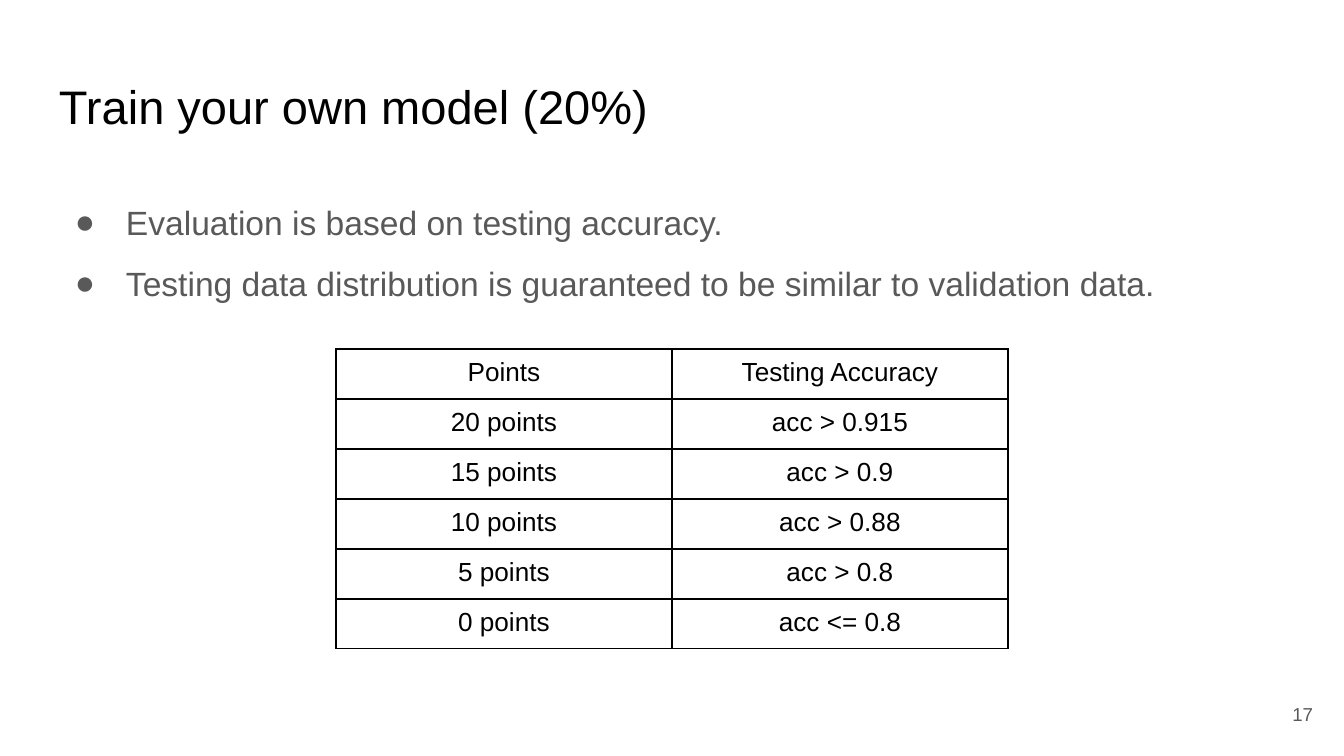
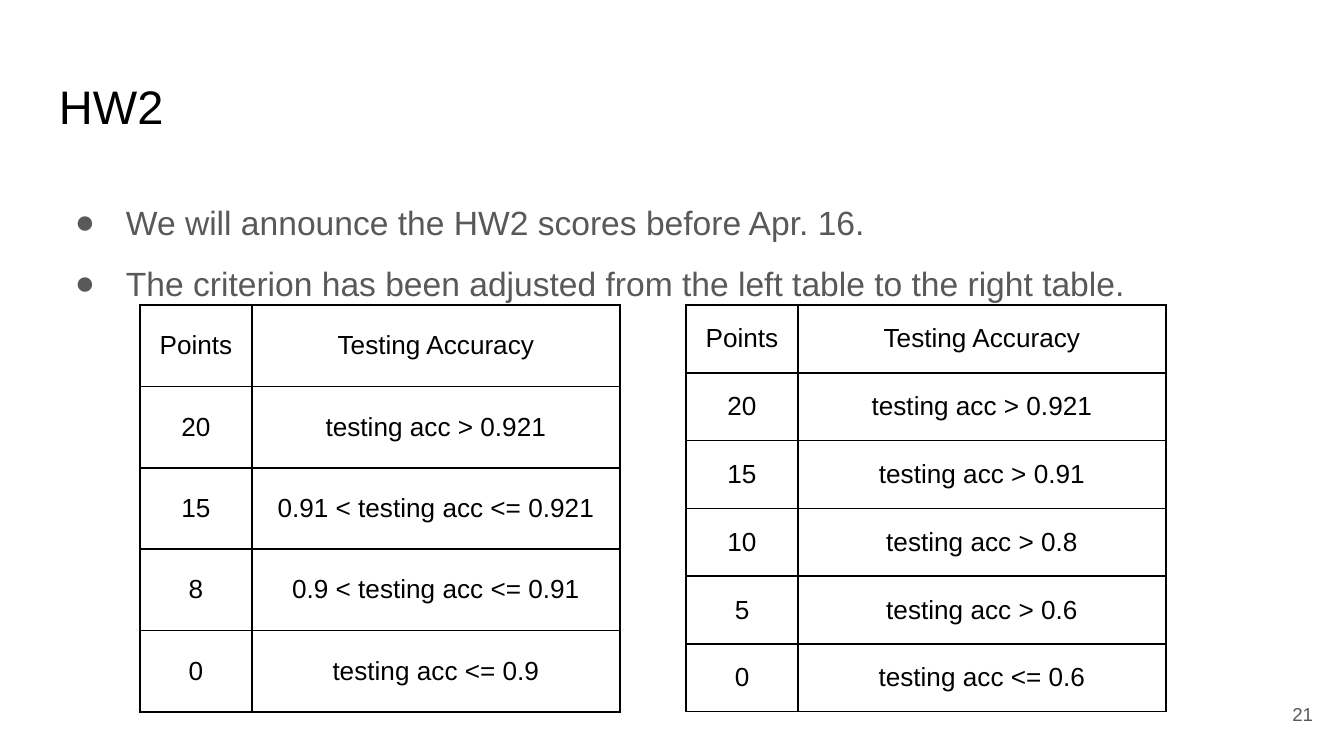
from lxml.etree import SubElement
from pptx import Presentation
from pptx.dml.color import RGBColor
from pptx.enum.text import MSO_ANCHOR, PP_ALIGN
from pptx.oxml.ns import qn
from pptx.util import Pt

EMU_PER_PIXEL = 914400 / 134.4
FONT = "Arial"
BLACK = "000000"
GREY = "595959"
WHITE = "FFFFFF"
TEXT_INSET = 13
CELL_INSET = 9
BULLET_MARGIN = 67
BULLET_HANG = -51
SCORE_COLUMNS = (112, 368)
SCORE_TOP = 305
SCORE_HEIGHT = 407


def px(length):
    return round(length * EMU_PER_PIXEL)


def color(value):
    return RGBColor.from_string(value)


def format_paragraph(paragraph, size, ink, align=PP_ALIGN.LEFT):
    paragraph.alignment = align
    for run in paragraph.runs:
        run.font.name = FONT
        run.font.size = Pt(size)
        run.font.color.rgb = color(ink)


def set_margins(target, inset):
    target.margin_left = target.margin_right = px(inset)
    target.margin_top = target.margin_bottom = px(inset)


def add_text(slide, box, text, size, ink, align=PP_ALIGN.LEFT, anchor=MSO_ANCHOR.TOP):
    frame = slide.shapes.add_textbox(*map(px, box)).text_frame
    frame.word_wrap = True
    frame.vertical_anchor = anchor
    set_margins(frame, TEXT_INSET)
    frame.text = text
    for paragraph in frame.paragraphs:
        format_paragraph(paragraph, size, ink, align)
    return frame


def add_bullet(paragraph):
    paragraph.line_spacing = 1.5
    properties = paragraph._p.get_or_add_pPr()
    properties.set("marL", str(px(BULLET_MARGIN)))
    properties.set("indent", str(px(BULLET_HANG)))
    bullet_color = SubElement(properties, qn("a:buClr"))
    SubElement(bullet_color, qn("a:srgbClr"), val=GREY)
    SubElement(properties, qn("a:buFont"), typeface=FONT)
    SubElement(properties, qn("a:buChar"), char="●")


def add_borders(cell):
    properties = cell._tc.get_or_add_tcPr()
    for side in ("lnL", "lnR", "lnT", "lnB"):
        border = SubElement(properties, qn(f"a:{side}"), w=str(Pt(1)))
        fill = SubElement(border, qn("a:solidFill"))
        SubElement(fill, qn("a:srgbClr"), val=BLACK)


def add_grading_table(slide, left, top, widths, height, rows, anchor):
    table = slide.shapes.add_table(
        len(rows), len(widths), px(left), px(top), px(sum(widths)), px(height)
    ).table
    table.first_row = False
    table.horz_banding = False
    for column, width in zip(table.columns, widths):
        column.width = px(width)
    for row, texts in zip(table.rows, rows):
        row.height = px(height / len(rows))
        for cell, text in zip(row.cells, texts):
            cell.text = text
            cell.vertical_anchor = anchor
            set_margins(cell, CELL_INSET)
            add_borders(cell)
            cell.fill.background()
            format_paragraph(cell.text_frame.paragraphs[0], 14, BLACK, PP_ALIGN.CENTER)


def add_slide(deck, title, bullets, number):
    slide = deck.slides.add_slide(deck.slide_layouts[6])
    slide.background.fill.solid()
    slide.background.fill.fore_color.rgb = color(WHITE)
    add_text(slide, (46, 65, 1252, 84), title, 25.2, BLACK)
    body = add_text(slide, (46, 169, 1252, 502), "\n".join(bullets), 18, GREY)
    for paragraph in body.paragraphs:
        add_bullet(paragraph)
    add_text(slide, (1245, 685, 81, 58), number, 10, GREY,
             PP_ALIGN.RIGHT, MSO_ANCHOR.MIDDLE)
    return slide


def add_training_slide(deck):
    slide = add_slide(
        deck,
        "Train your own model (20%)",
        ["Evaluation is based on testing accuracy.",
         "Testing data distribution is guaranteed to be similar to validation data."],
        "17",
    )
    grading = [
        ("Points", "Testing Accuracy"),
        ("20 points", "acc > 0.915"),
        ("15 points", "acc > 0.9"),
        ("10 points", "acc > 0.88"),
        ("5 points", "acc > 0.8"),
        ("0 points", "acc <= 0.8"),
    ]
    add_grading_table(slide, 336, 349, (336, 336), 300, grading, MSO_ANCHOR.TOP)


def add_homework_slide(deck):
    slide = add_slide(
        deck,
        "HW2",
        ["We will announce the HW2 scores before Apr. 16.",
         "The criterion has been adjusted from the left table to the right table."],
        "21",
    )
    header = ("Points", "Testing Accuracy")
    previous = [
        header,
        ("20", "testing acc > 0.921"),
        ("15", "0.91 < testing acc <= 0.921"),
        ("8", "0.9 < testing acc <= 0.91"),
        ("0", "testing acc <= 0.9"),
    ]
    adjusted = [
        header,
        ("20", "testing acc > 0.921"),
        ("15", "testing acc > 0.91"),
        ("10", "testing acc > 0.8"),
        ("5", "testing acc > 0.6"),
        ("0", "testing acc <= 0.6"),
    ]
    for left, criterion in ((140, previous), (686, adjusted)):
        add_grading_table(slide, left, SCORE_TOP, SCORE_COLUMNS, SCORE_HEIGHT,
                          criterion, MSO_ANCHOR.MIDDLE)


def main():
    deck = Presentation()
    deck.slide_width = px(1344)
    deck.slide_height = px(756)
    add_training_slide(deck)
    add_homework_slide(deck)
    deck.save("out.pptx")


main()
